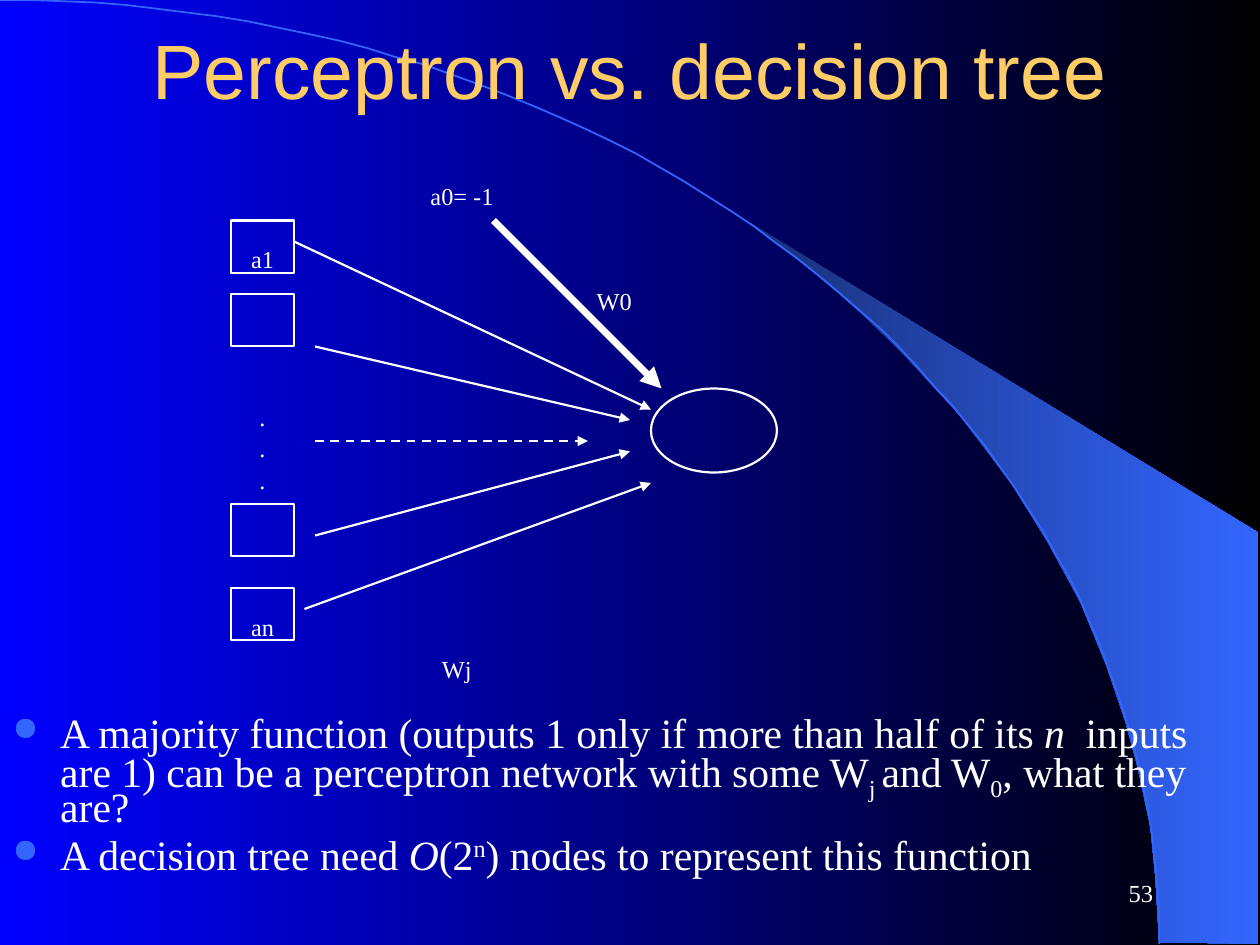
from lxml.etree import SubElement
from pptx import Presentation
from pptx.dml.color import RGBColor
from pptx.enum.dml import MSO_LINE_DASH_STYLE as Dash
from pptx.enum.shapes import MSO_CONNECTOR as Link, MSO_SHAPE as Preset
from pptx.enum.text import MSO_ANCHOR as Anchor, MSO_AUTO_SIZE as Fit, PP_ALIGN as Align
from pptx.oxml.ns import qn
from pptx.util import Inches, Pt


def paint(color, value):
    color.rgb = RGBColor.from_string(value)


def write(para, text, font="Times New Roman", size=24, color="FFFFFF", italic=False, baseline=0):
    span = para.add_run()
    span.text = text
    span.font.name = font
    span.font.size = Pt(size)
    span.font.italic = italic
    paint(span.font.color, color)
    if baseline:
        span._r.get_or_add_rPr().set("baseline", str(baseline * 1000))


deck = Presentation()
deck.slide_width = Inches(10)
deck.slide_height = Inches(7.5)
COL = deck.slide_width / 120
ROW = deck.slide_height / 90
FINE = deck.slide_width / 1000
page = deck.slides.add_slide(deck.slide_layouts[6])

wing_points = [
    (920, 748), (999, 749), (999, 423), (589, 173), (624, 199), (653, 222),
    (685, 250), (716, 280), (762, 330), (803, 384), (832, 431), (858, 479),
    (878, 528), (893, 572), (903, 609), (913, 656), (917, 696), (920, 748),
]
builder = page.shapes.build_freeform(*wing_points[0], scale=FINE)
builder.add_line_segments(wing_points[1:], close=True)
wing = builder.convert_to_shape()
wing.shadow.inherit = False
wing.line.fill.background()

for fill, ends in [
    (page.background.fill, ("0000FF", "000000")),
    (wing.fill, ("182F76", "3366FF")),
]:
    fill.gradient()
    fill.gradient_angle = 0
    for stop, value in zip(fill.gradient_stops, ends):
        paint(stop.color, value)

STEPS = 60
arc_points = []
for step in range(1, STEPS + 1):
    t = step / STEPS
    u = 1 - t
    arc_points.append((
        3 * u * u * t * 508 + 3 * u * t * t * 920 + t ** 3 * 920,
        3 * u * t * t * 335 + t ** 3 * 749,
    ))
builder = page.shapes.build_freeform(0, 0, scale=FINE)
builder.add_line_segments(arc_points, close=False)
arc = builder.convert_to_shape()
arc.shadow.inherit = False
arc.fill.background()
arc.line.width = Pt(1)
paint(arc.line.color, "3366FF")

for preset, col, row, cols, rows in [
    *[(Preset.RECTANGLE, 22, row, 6, 5) for row in (21, 28, 48, 56)],
    (Preset.OVAL, 62, 37, 12, 8),
]:
    node = page.shapes.add_shape(preset, round(col * COL), round(row * ROW), round(cols * COL), round(rows * ROW))
    node.shadow.inherit = False
    node.fill.background()
    node.line.width = Pt(1.25)
    paint(node.line.color, "FFFFFF")

for col, row, end_col, end_row, width, dash in [
    (28, 23, 62, 39, 1.25, None),
    (30, 33, 60, 40, 1.25, None),
    (30, 51, 60, 43, 1.25, None),
    (29, 58, 62, 46, 1.25, None),
    (30, 42, 56, 42, 1.25, Dash.DASH),
    (47, 21, 63, 37, 4, None),
]:
    arrow = page.shapes.add_connector(
        Link.STRAIGHT, round(col * COL), round(row * ROW), round(end_col * COL), round(end_row * ROW))
    arrow.line.width = Pt(width)
    paint(arrow.line.color, "FFFFFF")
    if dash:
        arrow.line.dash_style = dash
    SubElement(arrow.line._get_or_add_ln(), qn("a:tailEnd"), type="triangle")
    SubElement(arrow._element.spPr, qn("a:effectLst"))

for text, col, row, cols in [
    *[(".", 23, row, 4) for row in (35, 38, 41)],
    ("Wj", 39, 59, 9),
    ("a0= -1", 37, 14, 14),
    ("a1", 21, 20, 8),
    ("an", 21, 55, 8),
    ("W0", 54, 24, 9),
]:
    box = page.shapes.add_textbox(round(col * COL), round(row * ROW), round(cols * COL), round(6.7 * ROW))
    box.text_frame.word_wrap = True
    box.text_frame.auto_size = Fit.SHAPE_TO_FIT_TEXT
    para = box.text_frame.paragraphs[0]
    para.alignment = Align.CENTER
    para.space_before = Pt(15)
    write(para, text, baseline=-25)

for text, col, row, cols, rows, align, look in [
    ("Perceptron vs. decision tree", 9, 2, 102, 9, Align.CENTER, dict(font="Arial", size=44, color="FFCC66")),
    ("53", 86, 82, 25, 6, Align.RIGHT, dict(size=14)),
]:
    box = page.shapes.add_textbox(round(col * COL), round(row * ROW), round(cols * COL), round(rows * ROW))
    box.text_frame.word_wrap = True
    box.text_frame.vertical_anchor = Anchor.MIDDLE
    para = box.text_frame.paragraphs[0]
    para.alignment = align
    write(para, text, **look)

body = page.shapes.add_textbox(0, round(68 * ROW), round(120 * COL), round(17 * ROW))
body.text_frame.word_wrap = True
for index, spans in enumerate([
    [
        ("A majority function (outputs 1 only if more than half of its ", {}),
        ("n", dict(italic=True)),
        ("  inputs are 1) can be a perceptron network with some W", {}),
        ("j ", dict(baseline=-25)),
        ("and W", {}),
        ("0", dict(baseline=-25)),
        (", what they are?", {}),
    ],
    [
        ("A decision tree need ", {}),
        ("O", dict(italic=True)),
        ("(2", {}),
        ("n", dict(baseline=30)),
        (") nodes to represent this function", {}),
    ],
]):
    para = body.text_frame.add_paragraph() if index else body.text_frame.paragraphs[0]
    para.line_spacing = 0.7
    para.space_before = Pt(7)
    props = para._p.get_or_add_pPr()
    props.set("marL", str(Inches(0.38)))
    props.set("indent", str(Inches(-0.38)))
    SubElement(SubElement(props, qn("a:buClr")), qn("a:srgbClr"), val="3366FF")
    SubElement(props, qn("a:buSzPct"), val="80000")
    SubElement(props, qn("a:buChar"), char="●")
    for text, look in spans:
        write(para, text, size=23.8, **look)

deck.save("out.pptx")
